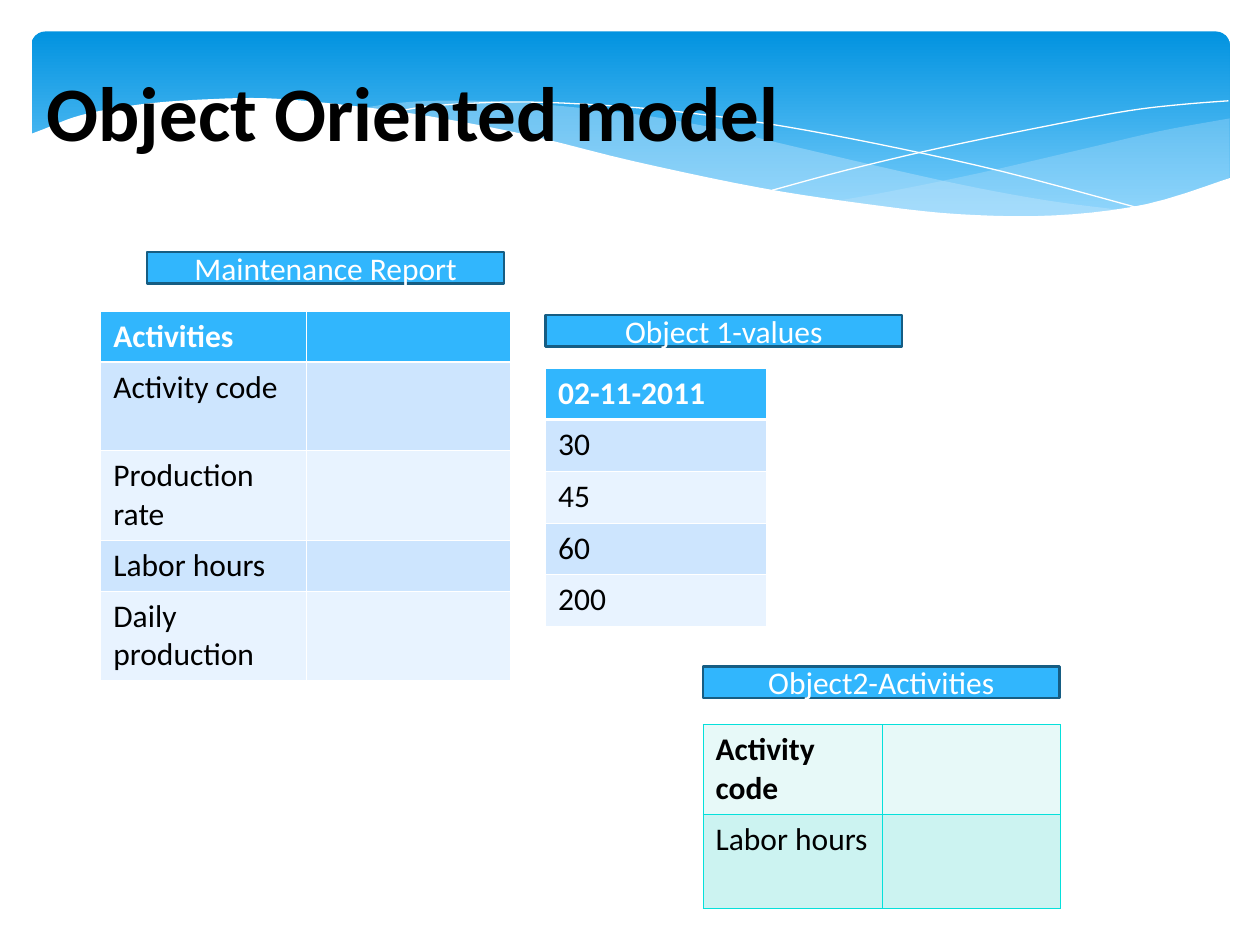
import pptx
import pptx.util
import pptx.dml.color
import pptx.enum.shapes
import pptx.enum.text
import pptx.oxml
import pptx.oxml.ns
from pptx.util import Inches

COLORS = {
    "white": "FFFFFF", "black": "000000",
    "sky_top": "0293E0", "sky_bottom": "83D3FE", "wave": "C6E7FC",
    "blue": "31B6FD", "blue_edge": "165D83", "blue_dark": "CDE5FE", "blue_light": "E8F3FF",
    "teal": "05E0DB", "teal_dark": "CCF3F1", "teal_light": "E7F9F8",
}
FONT = "Calibri"

# Knots of the banner's curves, in inches from the banner's corner
RIGHT_WAVE_TOP = [(9.51, 0.69), (8.96, 0.79), (8.36, 0.93), (7.54, 1.12), (6.81, 1.27), (6.36, 1.35)]
RIGHT_WAVE_BOTTOM = [(6.36, 1.35), (6.93, 1.42), (7.44, 1.46), (7.89, 1.47), (8.29, 1.45),
                     (8.64, 1.41), (8.96, 1.35), (9.24, 1.27), (9.51, 1.16)]
LEFT_WAVE_TOP = [(8.68, 1.42), (8.12, 1.35), (7.5, 1.24), (6.81, 1.09), (6.04, 0.91), (5.44, 0.77),
                 (4.89, 0.67), (4.39, 0.61), (3.95, 0.57), (3.55, 0.55), (3.19, 0.55), (2.88, 0.57),
                 (2.61, 0.61)]
LEFT_WAVE_BOTTOM = [(2.61, 0.61), (3.17, 0.69), (3.79, 0.81), (4.66, 1.01), (5.41, 1.18), (6.09, 1.31),
                    (6.7, 1.4), (7.23, 1.45), (7.71, 1.48), (8.13, 1.47), (8.68, 1.42)]
FALLING_LINE = [(2.84, 0.65), (3.1, 0.6), (3.49, 0.57), (3.91, 0.56), (4.44, 0.58), (5.07, 0.63),
                (5.83, 0.73), (6.7, 0.89), (7.7, 1.11), (8.82, 1.41)]
RISING_LINE = [(5.88, 1.26), (6.47, 1.1), (7.23, 0.92), (8.11, 0.74), (8.7, 0.63), (9.12, 0.58), (9.5, 0.55)]
LOWER_EDGE = [(9.52, 1.16), (8.85, 1.37), (8.12, 1.46), (7.36, 1.45), (6.63, 1.37), (5.78, 1.24),
              (4.78, 1.03), (3.93, 0.82), (3.14, 0.67), (2.46, 0.58), (1.86, 0.53), (1.36, 0.54),
              (0.94, 0.57), (0.6, 0.62), (0.34, 0.68), (0.11, 0.77), (-0.02, 0.82)]
LOWER_CORNERS = [(-0.02, 1.99), (9.52, 1.99)]


def rgb(name):
    return pptx.dml.color.RGBColor.from_string(COLORS[name])


def smooth(knots, steps=5):
    """Return points on a Catmull-Rom curve through the knots."""
    padded = [knots[0], *knots, knots[-1]]
    points = []
    for before, start, end, after in zip(padded, padded[1:], padded[2:], padded[3:]):
        for step in range(steps):
            t = step / steps
            points.append(tuple(
                0.5 * (2 * b + (c - a) * t + (2 * a - 5 * b + 4 * c - d) * t ** 2
                       + (3 * b - a - 3 * c + d) * t ** 3)
                for a, b, c, d in zip(before, start, end, after)))
    return points + [knots[-1]]


def style_run(para, size, color, bold=False):
    for span in para.runs:
        span.font.name = FONT
        span.font.size = pptx.util.Pt(size)
        span.font.bold = bold
        span.font.color.rgb = rgb(color)


def add_outline(page, left, top, points, closed=True):
    places = [(left + Inches(x), top + Inches(y)) for x, y in points]
    builder = page.shapes.build_freeform(*places[0])
    builder.add_line_segments(places[1:], close=closed)
    shape = builder.convert_to_shape()
    shape.shadow.inherit = False
    return shape


def add_area(page, left, top, points, color, opacity=100):
    shape = add_outline(page, left, top, points)
    shape.fill.solid()
    shape.fill.fore_color.rgb = rgb(color)
    shape.line.fill.background()
    if opacity < 100:
        color_element = shape.fill._xPr.find(".//" + pptx.oxml.ns.qn("a:srgbClr"))
        color_element.append(pptx.oxml.parse_xml(
            f'<a:alpha {pptx.oxml.ns.nsdecls("a")} val="{opacity * 1000}"/>'))


def add_banner(page, left, top, width, height):
    box = page.shapes.add_shape(pptx.enum.shapes.MSO_SHAPE.ROUNDED_RECTANGLE, left, top, width, height)
    box.adjustments[0] = 0.07
    box.shadow.inherit = False
    box.line.fill.background()
    box.fill.gradient()
    box.fill.gradient_angle = 270
    for stop, color in zip(box.fill.gradient_stops, ("sky_top", "sky_bottom")):
        stop.color.rgb = rgb(color)
    add_area(page, left, top, smooth(RIGHT_WAVE_TOP) + smooth(RIGHT_WAVE_BOTTOM), "wave", 29)
    add_area(page, left, top, smooth(LEFT_WAVE_TOP) + smooth(LEFT_WAVE_BOTTOM), "wave", 40)
    for knots in (FALLING_LINE, RISING_LINE):
        curve = add_outline(page, left, top, smooth(knots), closed=False)
        curve.fill.background()
        curve.line.color.rgb = rgb("white")
        curve.line.width = 0
    add_area(page, left, top, smooth(LOWER_EDGE) + LOWER_CORNERS, "white")


def place_title(page, left, top, width, height, text):
    title = page.shapes.title
    title.left, title.top, title.width, title.height = left, top, width, height
    title.text_frame.text = text
    title.text_frame.vertical_anchor = pptx.enum.text.MSO_ANCHOR.MIDDLE
    para = title.text_frame.paragraphs[0]
    para.alignment = pptx.enum.text.PP_ALIGN.LEFT
    style_run(para, 44, "black", bold=True)
    page.shapes._spTree.append(title._element)  # in front of the banner


def add_label(page, left, top, text):
    box = page.shapes.add_shape(pptx.enum.shapes.MSO_SHAPE.RECTANGLE, left, top, Inches(2.83), Inches(0.25))
    box.shadow.inherit = False
    box.fill.solid()
    box.fill.fore_color.rgb = rgb("blue")
    box.line.color.rgb = rgb("blue_edge")
    box.line.width = pptx.util.Pt(1.25)
    box.text_frame.text = text
    box.text_frame.word_wrap = True
    box.text_frame.vertical_anchor = pptx.enum.text.MSO_ANCHOR.MIDDLE
    para = box.text_frame.paragraphs[0]
    para.alignment = pptx.enum.text.PP_ALIGN.CENTER
    style_run(para, 18, "white")


def set_borders(cell, color, widths):
    """Draw the cell's left, right, top and bottom borders, widths in points."""
    for side, width in zip("LRTB", widths):
        cell._tc.get_or_add_tcPr().append(pptx.oxml.parse_xml(
            f'<a:ln{side} {pptx.oxml.ns.nsdecls("a")} w="{pptx.util.Pt(width)}"><a:solidFill>'
            f'<a:srgbClr val="{COLORS[color]}"/></a:solidFill></a:ln{side}>'))


def add_table(page, left, top, widths, heights, texts, header, bands, edge, rule=0.45):
    """Add a table with texts in its first column; header is (fill, font colour)."""
    frame = page.shapes.add_table(len(heights), len(widths), left, top,
                                  Inches(sum(widths)), Inches(sum(heights)))
    table = frame.table
    table.first_row = table.horz_banding = False
    for column, width in zip(table.columns, widths):
        column.width = Inches(width)
    for index, (row, height, text) in enumerate(zip(table.rows, heights, texts)):
        row.height = Inches(height)
        fill, ink = header if index == 0 else (bands[(index - 1) % 2], "black")
        above = rule if index == 1 else 0.45
        below = rule if index == 0 else 0.45
        for cell in row.cells:
            set_borders(cell, edge, (0.45, 0.45, above, below))
            cell.fill.solid()
            cell.fill.fore_color.rgb = rgb(fill)
        row.cells[0].text_frame.text = text
        style_run(row.cells[0].text_frame.paragraphs[0], 18, ink, bold=index == 0)


def main():
    deck = pptx.Presentation()
    deck.slide_width, deck.slide_height = Inches(10), Inches(7.5)
    page = deck.slides.add_slide(deck.slide_layouts[5])
    add_banner(page, Inches(0.25), Inches(0.25), Inches(9.51), Inches(1.56))
    place_title(page, Inches(0.27), Inches(0.42), Inches(9), Inches(0.91), "Object Oriented model")

    blue = dict(header=("blue", "white"), bands=("blue_dark", "blue_light"), edge="white", rule=1.47)
    teal = dict(header=("teal_light", "black"), bands=("teal_dark", "teal_light"), edge="teal")
    add_table(page, Inches(0.8), Inches(2.47), [1.63, 1.62], [0.4, 0.7, 0.7, 0.4, 0.7],
              ["Activities", "Activity code", "Production rate", "Labor hours", "Daily production"], **blue)
    add_table(page, Inches(4.33), Inches(2.92), [1.75], [0.41] * 5,
              ["02-11-2011", "30", "45", "60", "200"], **blue)
    add_table(page, Inches(5.58), Inches(5.75), [1.42] * 2, [0.7, 0.75],
              ["Activity code", "Labor hours"], **teal)
    for left, top, text in ((1.17, 2, "Maintenance Report"), (5.58, 5.29, "Object2-Activities"),
                            (4.33, 2.5, "Object 1-values")):
        add_label(page, Inches(left), Inches(top), text)
    deck.save("out.pptx")


if __name__ == "__main__":
    main()
